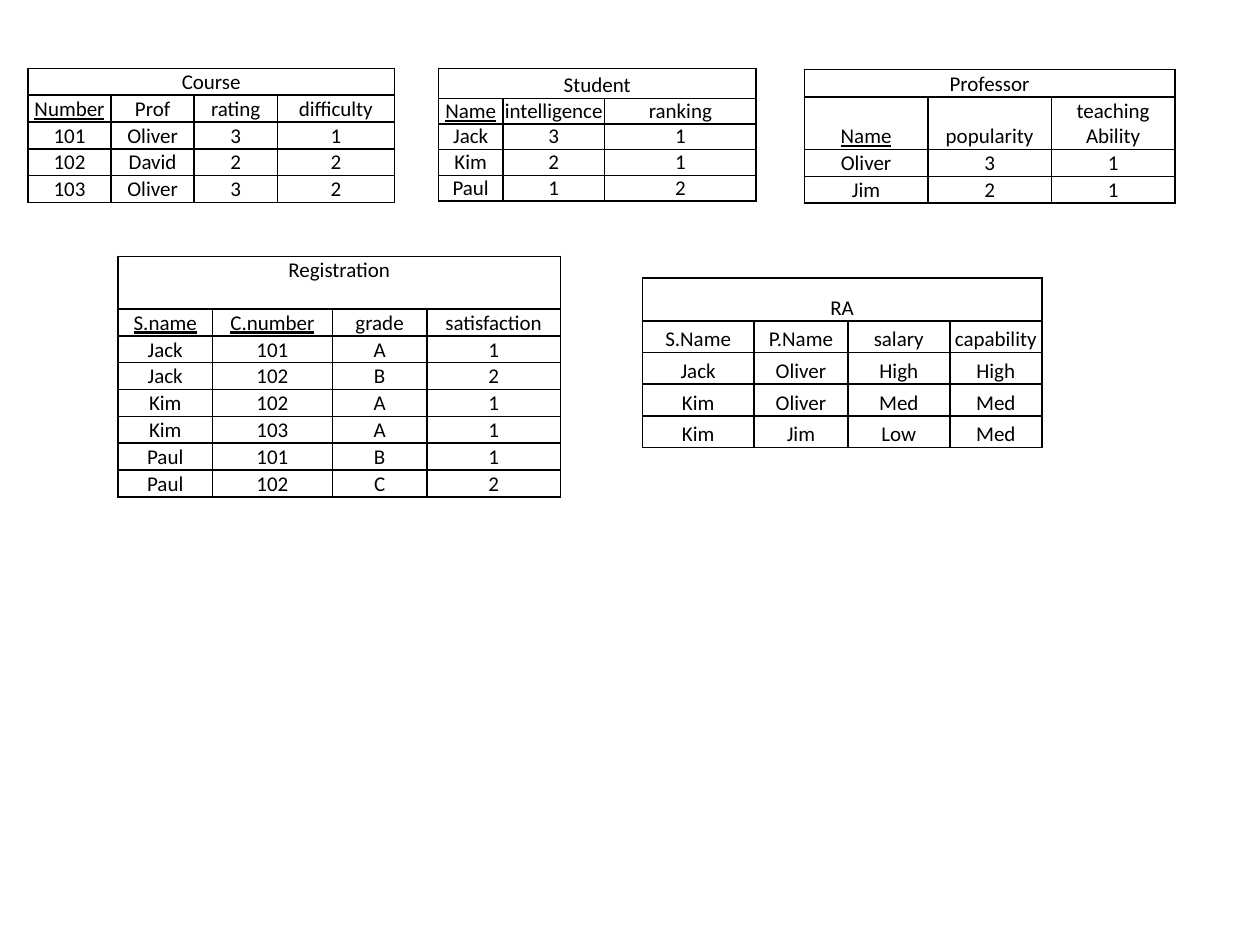
from lxml.etree import SubElement as Sub
from pptx import Presentation as Deck
from pptx.dml.color import RGBColor as Color
from pptx.enum.text import MSO_ANCHOR as Anchor, PP_ALIGN as Align
from pptx.oxml.ns import qn
from pptx.util import Pt

BLACK = Color(0, 0, 0)
FONT = {"name": "Calibri", "size": Pt(12), "bold": False}
PAD = {"margin_left": Pt(0.7), "margin_right": Pt(0.7), "margin_bottom": Pt(0)}

TABLES = [
    {
        "title": "Student", "at": (250.6, 39), "cols": [36.7, 58.3, 86.4],
        "rows": [17.2] + [14.6] * 4, "top": 0, "keys": ["Name"],
        "data": [
            ["Name", "intelligence", "ranking"],
            ["Jack", "3", "1"],
            ["Kim", "2", "1"],
            ["Paul", "1", "2"],
        ],
    },
    {
        "title": "Registration", "at": (67.5, 146.6), "cols": [53.9, 68.6, 53.9, 76.4],
        "rows": [30] + [15.3] * 7, "top": 0.7, "anchor": Anchor.TOP,
        "keys": ["S.name", "C.number"],
        "data": [
            ["S.name", "C.number", "grade", "satisfaction"],
            ["Jack", "101", "A", "1"],
            ["Jack", "102", "B", "2"],
            ["Kim", "102", "A", "1"],
            ["Kim", "103", "A", "1"],
            ["Paul", "101", "B", "1"],
            ["Paul", "102", "C", "2"],
        ],
    },
    {
        "title": "Professor", "at": (459.6, 39.6), "cols": [70.6] * 3,
        "rows": [15.8, 30, 15.3, 15.3], "top": 0.7, "keys": ["Name"],
        "data": [
            ["Name", "popularity", "teaching\nAbility"],
            ["Oliver", "3", "1"],
            ["Jim", "2", "1"],
        ],
    },
    {
        "title": "Course", "at": (16, 39), "cols": [47.5, 47.5, 47.5, 67],
        "rows": [15.3] * 5, "top": 0.7, "keys": ["Number"],
        "data": [
            ["Number", "Prof", "rating", "difficulty"],
            ["101", "Oliver", "3", "1"],
            ["102", "David", "2", "2"],
            ["103", "Oliver", "3", "2"],
        ],
    },
    {
        "title": "RA", "at": (367, 158.8), "cols": [63.9, 53.6, 58.3, 52.6],
        "rows": [24.6] + [18.1] * 4, "top": 0, "keys": [],
        "data": [
            ["S.Name", "P.Name", "salary", "capability"],
            ["Jack", "Oliver", "High", "High"],
            ["Kim", "Oliver", "Med", "Med"],
            ["Kim", "Jim", "Low", "Med"],
        ],
    },
]


def apply(obj, vals):
    for key, val in vals.items():
        setattr(obj, key, val)


def frame(cell):
    props = cell._tc.get_or_add_tcPr()
    for side in ("lnL", "lnR", "lnT", "lnB"):
        line = Sub(props, qn(f"a:{side}"), w=str(Pt(1)))
        fill = Sub(line, qn("a:solidFill"))
        Sub(fill, qn("a:srgbClr"), val=str(BLACK))


def style(cell, top):
    frame(cell)
    cell.fill.background()
    apply(cell, {**PAD, "margin_top": Pt(top), "vertical_anchor": Anchor.BOTTOM})


def write(cell, text, key=False):
    cell.text = text
    for para in cell.text_frame.paragraphs:
        para.alignment = Align.CENTER
        for run in para.runs:
            apply(run.font, {**FONT, "underline": key})
            run.font.color.rgb = BLACK


def add_grid(slide, item):
    cols, rows = item["cols"], item["rows"]
    box = [Pt(n) for n in (*item["at"], sum(cols), sum(rows))]
    grid = slide.shapes.add_table(len(rows), len(cols), *box).table
    apply(grid, {"first_row": False, "horz_banding": False})
    for col, wide in zip(grid.columns, cols):
        col.width = Pt(wide)
    for row, high in zip(grid.rows, rows):
        row.height = Pt(high)
    for cell in grid.iter_cells():
        style(cell, item["top"])
        write(cell, "")
        cell.text_frame.paragraphs[0].font.size = FONT["size"]
    head = grid.cell(0, 0)
    head.merge(grid.cell(0, len(cols) - 1))
    head.vertical_anchor = item.get("anchor", Anchor.BOTTOM)
    write(head, item["title"])
    for r, line in enumerate(item["data"], 1):
        for c, text in enumerate(line):
            write(grid.cell(r, c), text, text in item["keys"])


def main():
    deck = Deck()
    apply(deck, {"slide_width": Pt(720), "slide_height": Pt(540)})
    slide = deck.slides.add_slide(deck.slide_layouts[6])
    for item in TABLES:
        add_grid(slide, item)
    deck.save("out.pptx")


if __name__ == "__main__":
    main()
